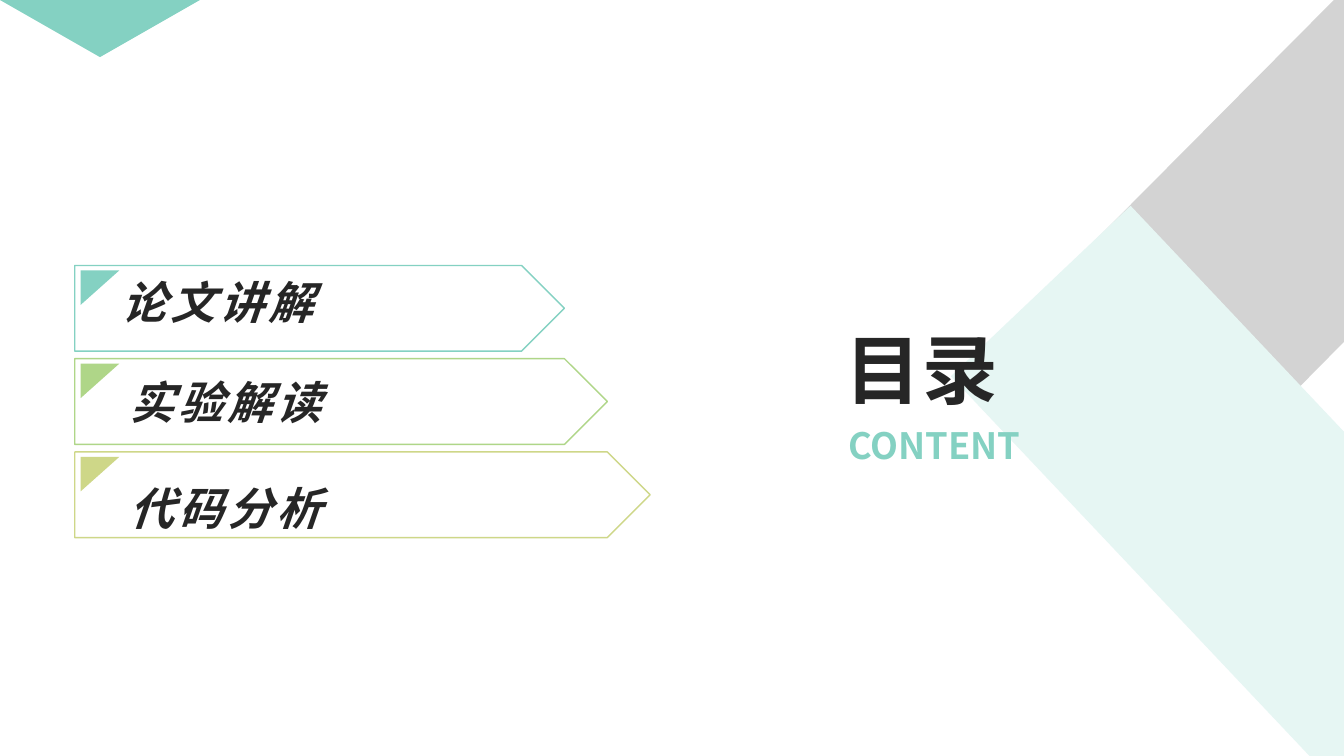
"""Build a contents slide with three arrow-shaped agenda entries."""
from typing import NamedTuple

from lxml import etree
from pptx import Presentation
from pptx.dml.color import RGBColor
from pptx.enum.shapes import MSO_SHAPE
from pptx.enum.text import MSO_ANCHOR, MSO_AUTO_SIZE, PP_ALIGN
from pptx.oxml.ns import qn
from pptx.util import Inches, Pt

TRIANGLE, PLATE = MSO_SHAPE.ISOSCELES_TRIANGLE, MSO_SHAPE.PENTAGON
BOTTOM, LEFT, NO_AUTOFIT = MSO_ANCHOR.BOTTOM, PP_ALIGN.LEFT, MSO_AUTO_SIZE.NONE
WIDTH, HEIGHT = Inches(40 / 3), Inches(7.5)
COLUMNS, ROWS = 16, 9
FONT = "Noto Sans CJK SC"
INK, TEAL, GREEN, OLIVE, MINT = "262626", "84D1C2", "AFD688", "CED788", "E6F6F3"
PLATE_LEFT, PLATE_TOP, PLATE_PITCH = 0.89, 3.16, 1.11
PLATE_WIDTH, PLATE_GROWTH, PLATE_HEIGHT = 5.83, 0.51, 1.02
CORNER_WIDTH, CORNER_HEIGHT = 0.46, 0.41


class Box(NamedTuple):
    """A rectangle in grid columns and rows."""
    left: float
    top: float
    width: float
    height: float


class Entry(NamedTuple):
    """An agenda entry with the place of its label."""
    label: str
    color: str
    left: float
    top: float


ENTRIES = [
    Entry("论文讲解", TEAL, 1.33, 3.41),
    Entry("实验解读", GREEN, 1.42, 4.6),
    Entry("代码分析", OLIVE, 1.42, 5.86),
]
GRAY_BAND = [(16, 0), (16, 4.07), (13.62, 6.48), (11.52, 4.39), (15.88, 0)]
MINT_BAND = [(13.46, 2.45), (16, 5.14), (16, 9), (15.59, 9), (11.32, 4.48)]


def x(columns: float) -> int:
    """Convert grid columns to a length."""
    return round(columns * WIDTH / COLUMNS)


def y(rows: float) -> int:
    """Convert grid rows to a length."""
    return round(rows * HEIGHT / ROWS)


def place(box: Box) -> tuple[int, int, int, int]:
    """Convert a grid box to lengths."""
    return x(box.left), y(box.top), x(box.width), y(box.height)


def rgb(color: str) -> RGBColor:
    """Convert a hex string to a colour."""
    return RGBColor.from_string(color)


def paint(sp, fill: str | None = None, line: str | None = None, alpha: int = 100) -> None:
    """Set fill, outline and opacity of a shape."""
    sp.shadow.inherit = False
    if fill:
        sp.fill.solid()
        sp.fill.fore_color.rgb = rgb(fill)
        if alpha < 100:
            node = sp.element.spPr.find(qn("a:solidFill"))[0]
            etree.SubElement(node, qn("a:alpha")).set("val", str(alpha * 1000))
    else:
        sp.fill.background()
    if line:
        sp.line.color.rgb = rgb(line)
        sp.line.width = Pt(1)
    else:
        sp.line.fill.background()


def draw_polygon(slide, points: list[tuple[float, float]], fill: str, alpha: int = 100) -> None:
    """Draw a closed outline through grid points."""
    corners = [(x(column), y(row)) for column, row in points]
    builder = slide.shapes.build_freeform(*corners[0])
    builder.add_line_segments(corners[1:], close=True)
    paint(builder.convert_to_shape(), fill, alpha=alpha)


def write(sp, text: str, *, size: float, color: str = INK, italic: bool = False,
          spacing: float = 0, line_spacing: float = 1.0, bottom: float = 0.05) -> None:
    """Put one formatted bold line into a shape."""
    tf = sp.text_frame
    tf.word_wrap = True
    tf.auto_size = NO_AUTOFIT
    tf.vertical_anchor = BOTTOM
    tf.margin_bottom = Inches(bottom)
    p = tf.paragraphs[0]
    p.alignment = LEFT
    p.line_spacing = line_spacing
    r = p.add_run()
    r.text = text
    r.font.size = Pt(size)
    r.font.bold = True
    r.font.italic = italic
    r.font.color.rgb = rgb(color)
    r.font.name = FONT
    props = r.font._element
    props.set("spc", str(round(spacing * 100)))
    etree.SubElement(props, qn("a:ea")).set("typeface", FONT)


def draw_entry(slide, index: int, entry: Entry) -> None:
    """Draw one agenda arrow with its corner mark and label."""
    top = PLATE_TOP + index * PLATE_PITCH
    plate = Box(PLATE_LEFT, top, PLATE_WIDTH + index * PLATE_GROWTH, PLATE_HEIGHT)
    paint(slide.shapes.add_shape(PLATE, *place(plate)), line=entry.color)
    left, top = PLATE_LEFT + 0.07, top + 0.06
    corner = [(left, top), (left + CORNER_WIDTH, top), (left, top + CORNER_HEIGHT)]
    draw_polygon(slide, corner, entry.color)
    sp = slide.shapes.add_textbox(*place(Box(entry.left, entry.top, 4.93, 0.5)))
    write(sp, entry.label, size=32, italic=True, spacing=3, line_spacing=1.2, bottom=0)


def main() -> None:
    """Build and save the slide."""
    prs = Presentation()
    prs.slide_width, prs.slide_height = WIDTH, HEIGHT
    slide = prs.slides.add_slide(prs.slide_layouts[5])

    sp = slide.shapes.add_shape(TRIANGLE, *place(Box(0, 0, 2.38, 0.68)))
    sp.rotation = 180
    paint(sp, TEAL)
    draw_polygon(slide, GRAY_BAND, INK, alpha=20)
    draw_polygon(slide, MINT_BAND, MINT)

    for index, entry in enumerate(ENTRIES):
        draw_entry(slide, index, entry)

    sp = slide.shapes.add_textbox(*place(Box(9.98, 4.94, 2.52, 0.68)))
    write(sp, "CONTENT", size=25.9, color=TEAL)

    title = slide.shapes.title
    title.left, title.top, title.width, title.height = place(Box(9.94, 3.71, 2.6, 1.27))
    write(title, "目录", size=54, spacing=1.5, line_spacing=1.1)
    slide.shapes.element.append(title.element)
    prs.save("out.pptx")


if __name__ == "__main__":
    main()
